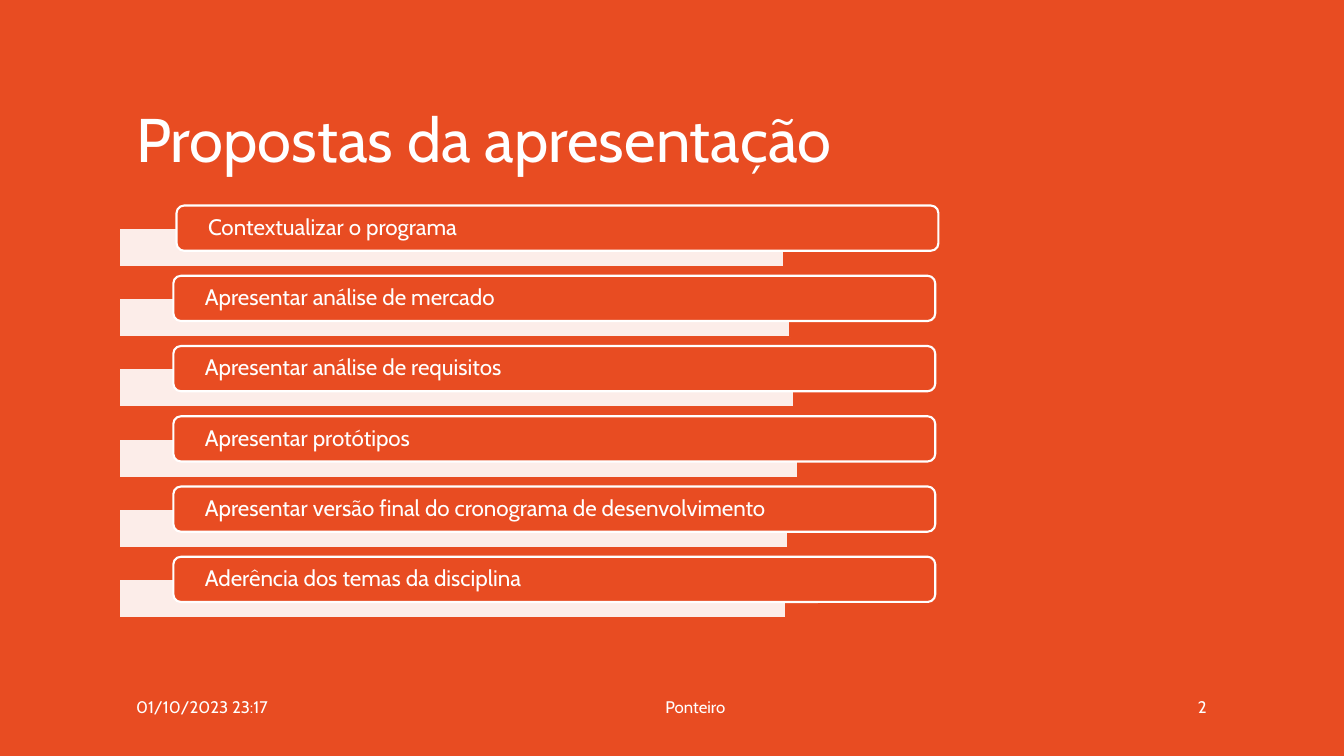
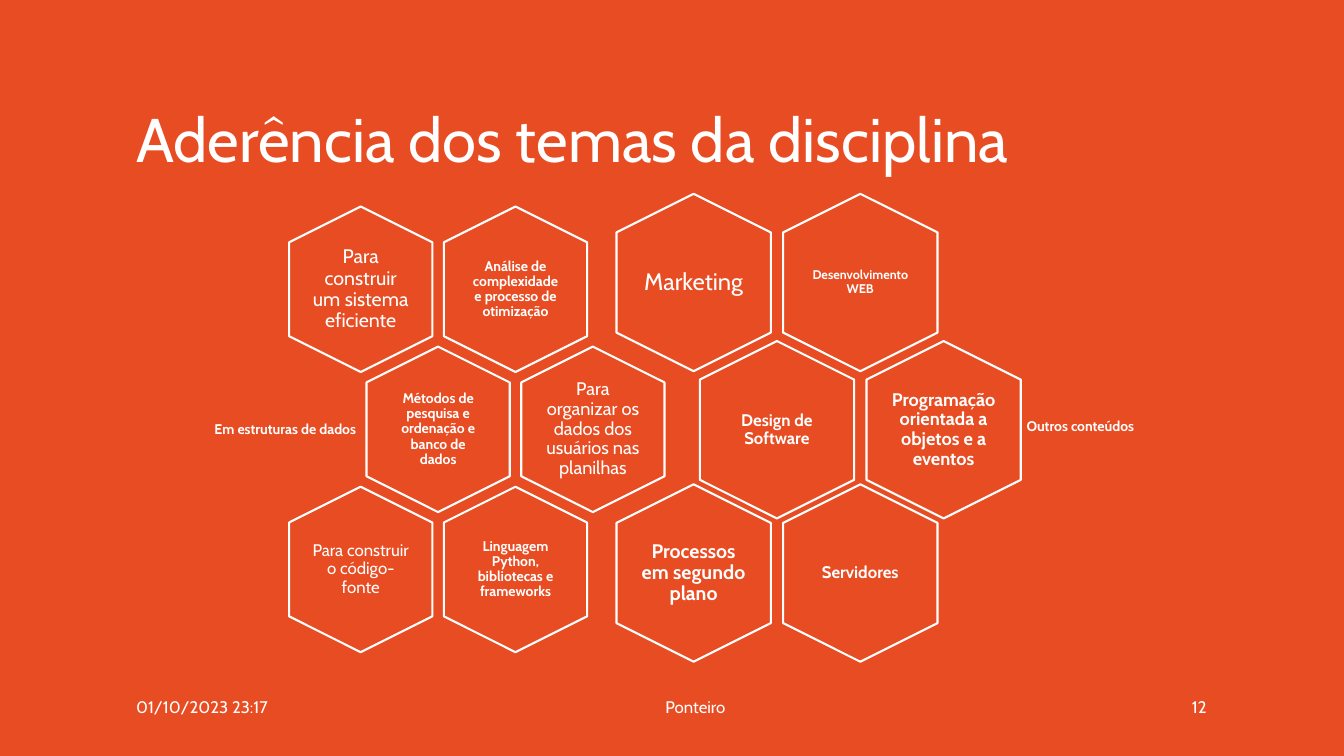
from dataclasses import dataclass

from lxml import etree
from pptx import Presentation
from pptx.dml.color import RGBColor
from pptx.enum import shapes, text
from pptx.oxml import ns
from pptx.util import Cm, Pt

# Content
DATE, DECK = "01/10/2023 23:17", "Ponteiro"
AGENDA_TITLE = "Propostas da apresentação"
AGENDA = [  # topic, bar width in cm
    ("Contextualizar o programa", 16.76),
    ("Apresentar análise de mercado", 16.92),
    ("Apresentar análise de requisitos", 17.02),
    ("Apresentar protótipos", 17.12),
    ("Apresentar versão final do cronograma de desenvolvimento", 16.87),
    ("Aderência dos temas da disciplina", 16.81),
]
THEMES_TITLE = "Aderência dos temas da disciplina"
# Each honeycomb: rows of (topic, size, bold); lengths in cm
HONEYCOMBS = [
    dict(
        first_x=9.09, step=3.9, row_y=(7.29, 10.82, 14.35), height=4.17, width=3.61,
        label=("Em estruturas de dados", 4.57, 9.58, 4.5, 2.49),
        rows=[
            [("Para construir um sistema eficiente", 14, False),
             ("Análise de complexidade e processo de otimização", 10, True)],
            [("Métodos de pesquisa e ordenação e banco de dados", 10, True),
             ("Para organizar os dados dos usuários nas planilhas", 13, False)],
            [("Para construir o código-fonte", 12, False),
             ("Linguagem Python, bibliotecas e frameworks", 10, True)],
        ],
    ),
    dict(
        first_x=17.48, step=4.2, row_y=(7.12, 10.83, 14.44), height=4.47, width=3.89,
        label=("Outros conteúdos", 23.85, 9.42, 4.83, 2.67),
        rows=[
            [("Marketing", 17, False), ("Desenvolvimento WEB", 9, True)],
            [("Design de Software", 12, True),
             ("Programação orientada a objetos e a eventos", 13, True)],
            [("Processos em segundo plano", 14, True), ("Servidores", 12, True)],
        ],
    ),
]


@dataclass(frozen=True)
class Theme:
    orange: RGBColor = RGBColor(0xE8, 0x4C, 0x22)
    white: RGBColor = RGBColor(0xFF, 0xFF, 0xFF)
    font: str = "Cabin"
    title: int = 44
    topic: int = 16
    label: int = 10
    footer: int = 12
    outline: float = 1.5
    tight: float = 0.9


THEME = Theme()
LEFT, CENTER, RIGHT = text.PP_ALIGN.LEFT, text.PP_ALIGN.CENTER, text.PP_ALIGN.RIGHT


# Helpers
def write(shape, words, size, bold=False, align=LEFT, spacing=THEME.tight, inset=(0.25, 0.13)):
    frame = shape.text_frame
    frame.text = words
    frame.word_wrap = True
    frame.auto_size = text.MSO_AUTO_SIZE.NONE
    frame.vertical_anchor = text.MSO_ANCHOR.MIDDLE
    frame.margin_left = frame.margin_right = Cm(inset[0])
    frame.margin_top = frame.margin_bottom = Cm(inset[1])
    paragraph = frame.paragraphs[0]
    paragraph.alignment, paragraph.line_spacing = align, spacing
    font = paragraph.runs[0].font
    font.name, font.size, font.bold = THEME.font, Pt(size), bold
    font.color.rgb = THEME.white


def add_text(slide, box, words, size, **style):
    write(slide.shapes.add_textbox(*map(Cm, box)), words, size, **style)


def add_panel(slide, kind, box, fill=THEME.orange, line=THEME.white):
    panel = slide.shapes.add_shape(kind, *map(Cm, box))
    panel.shadow.inherit = False
    panel.fill.solid()
    panel.fill.fore_color.rgb = fill
    panel.line.color.rgb = line
    panel.line.width = Pt(THEME.outline)
    return panel


def set_opacity(panel, percent):
    color = panel.fill._xPr.find(ns.qn("a:solidFill"))[0]
    etree.SubElement(color, ns.qn("a:alpha")).set("val", str(percent * 1000))


def add_slide(title, number):
    slide = prs.slides.add_slide(title_only)
    write(slide.shapes.title, title, THEME.title)
    for words, left, width, align in (
        (DATE, 3.18, 6.48, LEFT),
        (DECK, 10.97, 13.11, CENTER),
        (str(number), 25.91, 4.75, RIGHT),
    ):
        add_text(slide, (left, 17.3, width, 1.02), words, THEME.footer, align=align, spacing=1.0)
    return slide


# Shared page: size, background and title place
prs = Presentation()
prs.slide_width, prs.slide_height = Cm(33.87), Cm(19.05)
background = prs.slide_master.background.fill
background.solid()
background.fore_color.rgb = THEME.orange
title_only = prs.slide_layouts[5]
heading = title_only.placeholders[0]
heading.left, heading.top, heading.width, heading.height = map(Cm, (3.18, 1.7, 27.43, 3.76))

# Agenda: a pale bar behind each topic
agenda = add_slide(AGENDA_TITLE, 2)
PITCH = 1.77
for i, (topic, bar_width) in enumerate(AGENDA):
    bar = add_panel(agenda, shapes.MSO_SHAPE.RECTANGLE, (3, 5.74 + i * PITCH, bar_width, 0.99),
                    fill=THEME.white, line=THEME.orange)
    set_opacity(bar, 90)
    pill_left = 4.37 if i else 4.45
    pill = add_panel(agenda, shapes.MSO_SHAPE.ROUNDED_RECTANGLE,
                     (pill_left, 5.18 + i * PITCH, 19.2, 1.14))
    write(pill, topic, THEME.topic, inset=(0.74, 0))

# Themes: two honeycombs, the middle row moved by half a step
themes = add_slide(THEMES_TITLE, 12)
TEXT_SHARE = 0.69
for comb in HONEYCOMBS:
    height, width = comb["height"], comb["width"]
    for r, (row, y) in enumerate(zip(comb["rows"], comb["row_y"])):
        for c, (topic, size, bold) in enumerate(row):
            x = comb["first_x"] + (c + r % 2 / 2) * comb["step"]
            # The hexagon lies on its side, so its box is as wide as the cell is high
            cell = add_panel(themes, shapes.MSO_SHAPE.HEXAGON,
                             (x - height / 2, y - width / 2, height, width))
            cell.rotation = 90
            text_w, text_h = width * TEXT_SHARE, height * TEXT_SHARE
            pad = 0.1 if bold and size <= 12 else 0
            add_text(themes, (x - text_w / 2, y - text_h / 2, text_w, text_h), topic, size,
                     bold=bold, align=CENTER, inset=(pad, pad))
    words, *box = comb["label"]
    add_text(themes, box, words, THEME.label, bold=True, align=RIGHT, inset=(0.1, 0.1))

prs.save("out.pptx")
